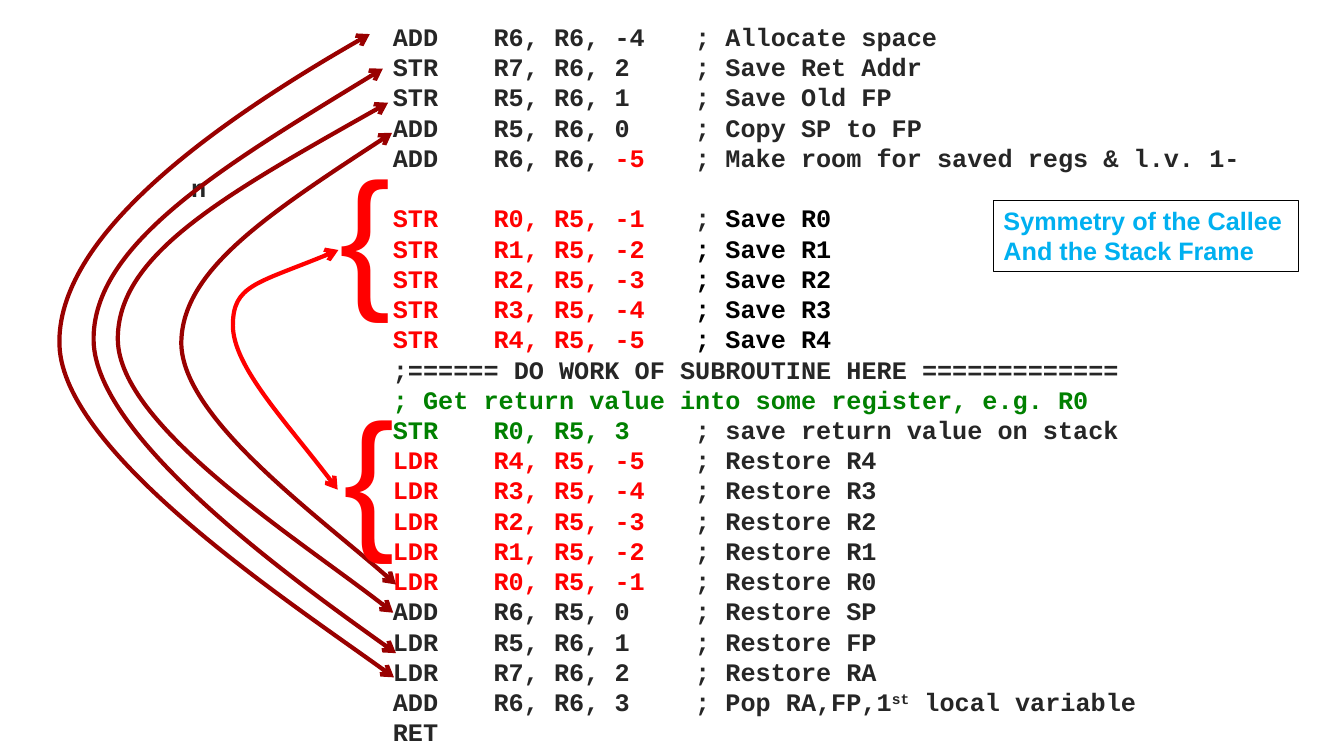
from lxml import etree
from pptx import Presentation
from pptx.dml.color import RGBColor
from pptx.enum.shapes import MSO_SHAPE
from pptx.enum.text import MSO_ANCHOR, PP_ALIGN
from pptx.oxml.ns import qn
from pptx.util import Cm, Pt

RECTANGLE = MSO_SHAPE.RECTANGLE
LEFT = PP_ALIGN.LEFT
TOP = MSO_ANCHOR.TOP

DARK = RGBColor(0x26, 0x26, 0x26)
BLACK = RGBColor(0, 0, 0)
RED = RGBColor(0xFF, 0, 0)
MAROON = RGBColor(0x99, 0, 0)
GREEN = RGBColor(0, 0x80, 0)
BLUE = RGBColor(0, 0xB0, 0xF0)

# Each code line is a list of (text, colour) runs
SETUP = [
    [("ADD\tR6, R6, -4\t; Allocate space", DARK)],
    [("STR\tR7, R6, 2\t; Save Ret Addr", DARK)],
    [("STR\tR5, R6, 1\t; Save Old FP", DARK)],
    [("ADD\tR5, R6, 0\t; Copy SP to FP", DARK)],
    [("ADD\tR6, R6, ", DARK), ("-5\t", RED),
     ("; Make room for saved regs & l.v. 1-n", DARK)],
]
SAVES = [
    [(f"STR \tR{n}, R5, -{n + 1}\t", RED),
     ("; ", DARK if n == 0 else BLACK), (f"Save R{n}", BLACK)]
    for n in range(5)
]
WORK = [
    [(";====== DO WORK OF SUBROUTINE HERE =============", DARK)],
    [("; Get return value into some register, e.g. R0", GREEN)],
    [("STR\tR0, R5, 3", GREEN), ("\t; save return value on stack", DARK)],
]
RESTORES = [
    [(f"LDR\tR{n}, R5, -{n + 1}\t", RED), (f"; Restore R{n}", DARK)]
    for n in reversed(range(5))
]
SUPERSCRIPT = "st"
TEARDOWN = [
    [("ADD\tR6, R5, 0\t; Restore SP", DARK)],
    [("LDR\tR5, R6, 1\t; Restore FP", DARK)],
    [("LDR\tR7, R6, 2\t; Restore RA", DARK)],
    [("ADD\tR6, R6, 3\t; Pop RA,FP,1", DARK), (SUPERSCRIPT, DARK),
     (" local variable", DARK)],
    [("RET", DARK)],
]
CODE = SETUP + SAVES + WORK + RESTORES + TEARDOWN
CODE_TABS = [Cm(2.54), Cm(5.08), Cm(7.62), Cm(12.7)]
LABEL = [[("Symmetry of the Callee", BLUE)], [("And the Stack Frame", BLUE)]]
BRACE = [[("{", RED)]]

# Start point, then two Bézier segments of three points each, in cm
CURVES = [
    (MAROON, [(9.32, 0.86), (5.41, 3.07), (1.4, 6.02), (1.5, 8.71),
              (1.6, 11.43), (7.75, 15.47), (9.93, 17.07)]),
    (MAROON, [(9.65, 1.73), (5.84, 4.06), (2.31, 6.15), (2.36, 8.59),
              (2.41, 11.05), (7.8, 14.91), (9.98, 16.46)]),
    (MAROON, [(9.78, 2.59), (5.77, 4.85), (2.95, 6.43), (2.97, 8.56),
              (3.0, 10.72), (7.75, 13.72), (9.91, 15.44)]),
    (RED, [(8.53, 6.3), (6.53, 7.14), (5.87, 7.19), (5.87, 8.2),
           (5.87, 9.22), (7.32, 10.74), (8.51, 12.34)]),
    (MAROON, [(9.88, 3.35), (6.76, 5.38), (4.57, 6.86), (4.57, 8.66),
              (4.6, 10.54), (8.31, 13.21), (9.98, 14.73)]),
]
BRACES = [(8.31, 3.35), (8.41, 9.42)]


def write_lines(text_frame, lines, font_name, size, bold, prefix="", spacing=None):
    text_frame.word_wrap = True
    text_frame.vertical_anchor = TOP
    for index, runs in enumerate(lines):
        paragraph = text_frame.paragraphs[0] if index == 0 else text_frame.add_paragraph()
        paragraph.alignment = LEFT
        if spacing:
            paragraph.line_spacing = spacing
        for position, (text, colour) in enumerate(runs):
            run = paragraph.add_run()
            run.text = prefix + text if position == 0 else text
            run.font.name = font_name
            run.font.size = size
            run.font.bold = bold
            run.font.color.rgb = colour
            if text == SUPERSCRIPT:
                run.font._element.set("baseline", "30000")


def set_tabs(paragraph, stops):
    properties = paragraph._p.get_or_add_pPr()
    tab_list = etree.SubElement(properties, qn("a:tabLst"))
    for stop in stops:
        etree.SubElement(tab_list, qn("a:tab"), pos=str(int(stop)), algn="l")


def add_curve(shapes, colour, points):
    """Draw a double-headed arrow along cubic Bézier segments."""
    start, *rest = [(Cm(x), Cm(y)) for x, y in points]
    builder = shapes.build_freeform(*start)
    builder.add_line_segments(rest, close=False)
    shape = builder.convert_to_shape()
    shape.shadow.inherit = False
    shape.fill.background()
    shape.line.color.rgb = colour
    shape.line.width = Pt(3)

    outline = shape._element.xpath(".//a:path")[0]
    segments = outline.findall(qn("a:lnTo"))
    for first in range(0, len(segments), 3):
        bezier = etree.SubElement(outline, qn("a:cubicBezTo"))
        for segment in segments[first:first + 3]:
            bezier.append(segment[0])
            outline.remove(segment)

    line = shape._element.xpath("./p:spPr/a:ln")[0]
    for end in ("a:headEnd", "a:tailEnd"):
        etree.SubElement(line, qn(end), type="arrow")


def main():
    presentation = Presentation()
    presentation.slide_width = Cm(33.87)
    presentation.slide_height = Cm(19.05)
    slide = presentation.slides.add_slide(presentation.slide_layouts[6])
    shapes = slide.shapes

    code_box = shapes.add_textbox(Cm(4.57), Cm(0.41), Cm(27.28), Cm(18.19))
    write_lines(code_box.text_frame, CODE, "Courier New", Pt(18), True,
                prefix="\t\t", spacing=Pt(21.6))
    for paragraph in code_box.text_frame.paragraphs:
        set_tabs(paragraph, CODE_TABS)

    for colour, points in CURVES:
        add_curve(shapes, colour, points)

    for left, top in BRACES:
        brace = shapes.add_textbox(Cm(left), Cm(top), Cm(1.3), Cm(4.95))
        brace.text_frame.margin_right = 0
        write_lines(brace.text_frame, BRACE, "Arial", Pt(110), False)

    label = shapes.add_shape(RECTANGLE, Cm(25.04), Cm(5.05), Cm(7.69), Cm(1.8))
    label.shadow.inherit = False
    label.fill.background()
    label.line.color.rgb = BLACK
    label.line.width = Pt(0.75)
    write_lines(label.text_frame, LABEL, "Arial", Pt(18), True, spacing=Pt(21.6))

    presentation.save("out.pptx")


if __name__ == "__main__":
    main()
